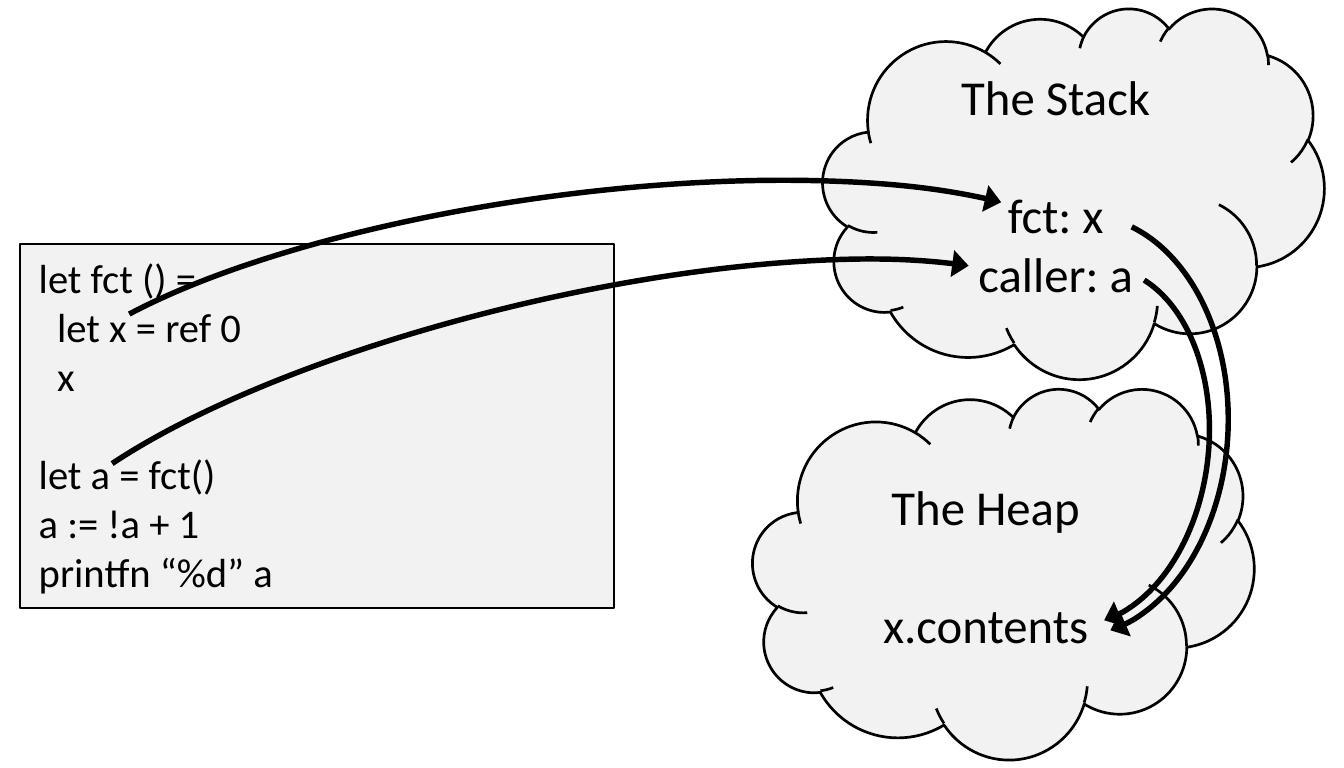
"""Draw how references on the stack share one cell on the heap."""

from dataclasses import dataclass

import lxml.etree
import pptx
import pptx.dml.color
import pptx.enum.shapes
import pptx.enum.text
import pptx.oxml.ns
import pptx.util

Pt = pptx.util.Pt
Shapes = pptx.enum.shapes.MSO_SHAPE
Align = pptx.enum.text.PP_ALIGN
Anchor = pptx.enum.text.MSO_ANCHOR

SLIDE_WIDTH, SLIDE_HEIGHT = 496.06, 283.46
BLACK = "000000"
PALE = "F2F2F2"
FONT = "Calibri"
CODE_SIZE = 15
CLOUD_SIZE = 18
LINE_HEIGHT = 1.22
CODE_INDENT = 6.8
CLOUD_WIDTH, CLOUD_HEIGHT = 185, 136.8
ARC_ANGLES = (115.36, 209.16)


@dataclass(frozen=True)
class Line:
    text: str
    indent: float = 0
    gap_lines: int = 0


@dataclass(frozen=True)
class Panel:
    kind: Shapes
    left: float
    top: float
    width: float
    height: float
    border: float
    size: float
    align: Align
    anchor: Anchor
    lines: tuple[Line, ...]


@dataclass(frozen=True)
class Reference:
    left: float
    top: float
    width: float
    height: float
    rotation: float


def cloud(left: float, top: float, *lines: Line) -> Panel:
    return Panel(Shapes.CLOUD, left, top, CLOUD_WIDTH, CLOUD_HEIGHT, 1,
                 CLOUD_SIZE, Align.CENTER, Anchor.MIDDLE, lines)


PANELS = (
    Panel(Shapes.RECTANGLE, 7.2, 90, 219.6, 134.6, 0.75,
          CODE_SIZE, Align.LEFT, Anchor.TOP, (
              Line("let fct () ="),
              Line("let x = ref 0", indent=CODE_INDENT),
              Line("x", indent=CODE_INDENT),
              Line("let a = fct()", gap_lines=1),
              Line("a := !a + 1"),
              Line("printfn “%d” a"),
          )),
    cloud(303.8, 2.9, Line("The Stack"), Line("fct: x", gap_lines=1), Line("caller: a")),
    cloud(277.9, 143.3, Line("The Heap"), Line("x.contents", gap_lines=1)),
)

REFERENCES = (
    Reference(9.4, 72, 403.2, 114.5, 352.4),
    Reference(320.4, 102.2, 155.5, 110.2, 92.6),
    Reference(335.5, 120.2, 132.5, 88.6, 96.3),
    Reference(3.6, 110.9, 403.2, 114.5, 346.7),
)


def colour(hex_code: str) -> pptx.dml.color.RGBColor:
    return pptx.dml.color.RGBColor.from_string(hex_code)


def add_outlined(slide, kind: Shapes, box: Panel | Reference, border: float):
    shape = slide.shapes.add_shape(
        kind, Pt(box.left), Pt(box.top), Pt(box.width), Pt(box.height))
    shape.shadow.inherit = False
    shape.line.color.rgb = colour(BLACK)
    shape.line.width = Pt(border)
    return shape


def draw_panel(slide, panel: Panel) -> None:
    shape = add_outlined(slide, panel.kind, panel, panel.border)
    shape.fill.solid()
    shape.fill.fore_color.rgb = colour(PALE)
    text_frame = shape.text_frame
    text_frame.word_wrap = True
    text_frame.vertical_anchor = panel.anchor
    text_frame.text = "\n".join(line.text for line in panel.lines)
    for paragraph, line in zip(text_frame.paragraphs, panel.lines):
        paragraph.alignment = panel.align
        paragraph.space_before = Pt(line.gap_lines * panel.size * LINE_HEIGHT)
        paragraph._p.get_or_add_pPr().set("marL", str(int(Pt(line.indent))))
        for run in paragraph.runs:
            run.font.name = FONT
            run.font.size = Pt(panel.size)
            run.font.color.rgb = colour(BLACK)


def draw_reference(slide, reference: Reference) -> None:
    shape = add_outlined(slide, Shapes.ARC, reference, 2)
    shape.fill.background()
    shape.rotation = reference.rotation
    for index, angle in enumerate(ARC_ANGLES):
        shape.adjustments[index] = angle
    outline = shape.line._get_or_add_ln()
    lxml.etree.SubElement(
        outline, pptx.oxml.ns.qn("a:tailEnd"), type="triangle", w="lg", len="med")


def main() -> None:
    presentation = pptx.Presentation()
    presentation.slide_width = Pt(SLIDE_WIDTH)
    presentation.slide_height = Pt(SLIDE_HEIGHT)
    slide = presentation.slides.add_slide(presentation.slide_layouts[6])
    for panel in PANELS:
        draw_panel(slide, panel)
    for reference in REFERENCES:
        draw_reference(slide, reference)
    presentation.save("out.pptx")


if __name__ == "__main__":
    main()
